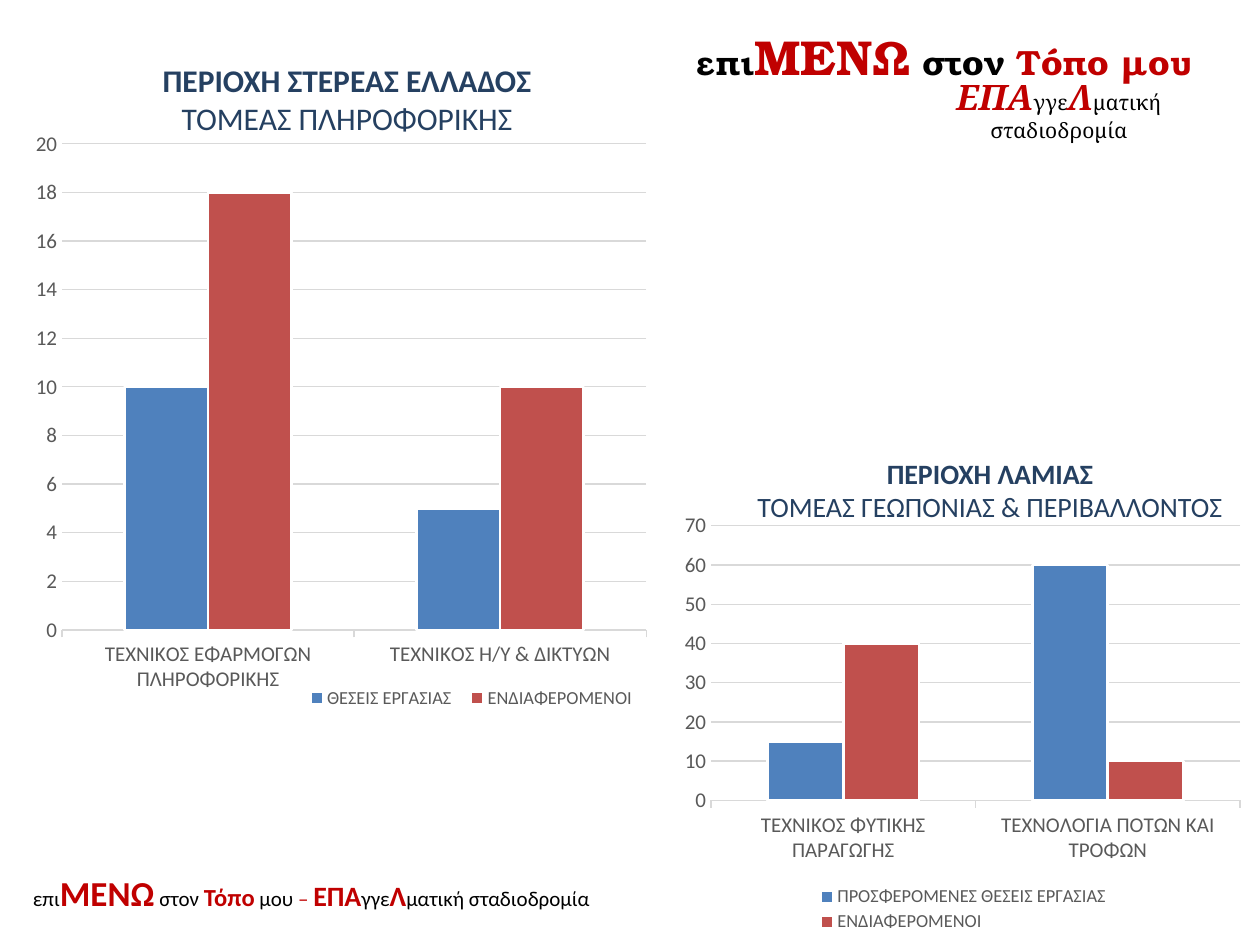
from dataclasses import dataclass

from lxml.etree import SubElement
from pptx import Presentation
from pptx.chart.data import CategoryChartData
from pptx.dml.color import RGBColor
from pptx.enum.chart import XL_CHART_TYPE, XL_LEGEND_POSITION, XL_TICK_MARK
from pptx.enum.text import MSO_ANCHOR, MSO_AUTO_SIZE, PP_ALIGN
from pptx.oxml.ns import qn
from pptx.util import Emu, Pt

PX = 914400 // 126


@dataclass(frozen=True)
class Theme:
    """Fonts, colours and type sizes of the slide."""
    body: str = "Calibri"
    serif: str = "Cambria"
    display: str = "TeX Gyre Bonum"
    black: str = "000000"
    accent: str = "C00000"
    heading: str = "254061"
    label: str = "595959"
    grid: str = "D9D9D9"
    white: str = "FFFFFF"
    series: tuple = ("4F81BD", "C0504D")
    small: float = 12
    legend: float = 10.5
    mid: float = 14
    strong: float = 16
    large: float = 18
    big: float = 20
    huge: float = 28


THEME = Theme()


def style_font(font, size, color, name=THEME.body, bold=False, italic=False):
    """Apply one text format to a font."""
    font.size, font.name = Pt(size), name
    font.bold, font.italic = bold, italic
    font.color.rgb = RGBColor.from_string(color)


def add_text(paragraph, text, **style):
    """Append a run of formatted text to a paragraph."""
    run = paragraph.add_run()
    run.text = text
    style_font(run.font, **style)


def place(element, tag, **ratios):
    """Give a chart part a manual layout in fractions of the chart."""
    layout = element.find(qn("c:layout"))
    if layout is None:
        layout = element.makeelement(qn("c:layout"), {})
        element.insert(tag, layout)
    for child in list(layout):
        layout.remove(child)
    manual = SubElement(layout, qn("c:manualLayout"))
    if "target" in ratios:
        SubElement(manual, qn("c:layoutTarget")).set("val", ratios.pop("target"))
    for mode in ("xMode", "yMode"):
        SubElement(manual, qn(f"c:{mode}")).set("val", "edge")
    for key, value in ratios.items():
        SubElement(manual, qn(f"c:{key}")).set("val", str(value))


class SlideBuilder:
    """Holds the theme and the current slide."""

    def __init__(self, slide, theme):
        """Keep the slide and its theme."""
        self.slide, self.theme = slide, theme

    def fill_frame(self, shape, lines, align, anchor, inset):
        """Write lines of styled runs into a shape."""
        frame = shape.text_frame
        frame.word_wrap, frame.auto_size = True, MSO_AUTO_SIZE.NONE
        frame.vertical_anchor = anchor
        frame.margin_left = frame.margin_right = Emu(inset * PX)
        for index, runs in enumerate(lines):
            paragraph = frame.add_paragraph() if index else frame.paragraphs[0]
            paragraph.alignment = align
            for text, style in runs:
                add_text(paragraph, text, **style)

    def title(self, box, runs):
        """Move and format the title placeholder."""
        title = self.slide.shapes.title
        title.left, title.top, title.width, title.height = [Emu(n * PX) for n in box]
        self.fill_frame(title, [runs], PP_ALIGN.CENTER, MSO_ANCHOR.TOP, 13)

    def text(self, box, lines, align=PP_ALIGN.CENTER, anchor=MSO_ANCHOR.TOP, inset=13):
        """Add a text box."""
        shape = self.slide.shapes.add_textbox(*[Emu(n * PX) for n in box])
        self.fill_frame(shape, lines, align, anchor, inset)

    def heading(self, box, region, sector, size):
        """Add a two-line chart heading."""
        style = dict(size=size, color=self.theme.heading)
        self.text(box, [[(region, dict(style, bold=True))], [(sector, style)]])

    def columns(self, box, categories, series, top, step, plot, legend):
        """Add a clustered column chart."""
        theme = self.theme
        data = CategoryChartData()
        data.categories = categories
        for name, values in series:
            data.add_series(name, values)
        chart = self.slide.shapes.add_chart(
            XL_CHART_TYPE.COLUMN_CLUSTERED, *[Emu(n * PX) for n in box], data).chart
        style_font(chart.font, theme.small, theme.label)
        chart.has_title = False
        chart.has_legend = True
        chart.legend.position = XL_LEGEND_POSITION.BOTTOM
        chart.legend.include_in_layout = False
        style_font(chart.legend.font, theme.legend, theme.label)

        bars = chart.plots[0]
        bars.gap_width, bars.overlap, bars.vary_by_categories = 150, 0, False
        for item, color in zip(bars.series, theme.series):
            item.format.fill.solid()
            item.format.fill.fore_color.rgb = RGBColor.from_string(color)
            self.line(item.format.line, theme.white, 1.5)

        names, scale = chart.category_axis, chart.value_axis
        scale.minimum_scale, scale.maximum_scale, scale.major_unit = 0, top, step
        names.major_tick_mark, scale.major_tick_mark = XL_TICK_MARK.OUTSIDE, XL_TICK_MARK.NONE
        for axis in (names, scale):
            axis.minor_tick_mark = XL_TICK_MARK.NONE
            style_font(axis.tick_labels.font, theme.small, theme.label)
        self.line(names.format.line, theme.grid, 0.75)
        self.line(scale.major_gridlines.format.line, theme.grid, 0.75)
        scale.format.line.fill.background()

        area = bars._element.getparent()
        place(area, 0, target="inner", **dict(zip("xywh", plot)))
        place(chart.legend._element, 1, **dict(zip("xywh", legend)))

    def line(self, line, color, width):
        """Format a line."""
        line.color.rgb = RGBColor.from_string(color)
        line.width = Pt(width)


presentation = Presentation()
presentation.slide_width, presentation.slide_height = Emu(1260 * PX), Emu(945 * PX)
page = SlideBuilder(presentation.slides.add_slide(presentation.slide_layouts[5]), THEME)

page.columns(
    (664, 504, 588, 436),
    ["ΤΕΧΝΙΚΟΣ ΦΥΤΙΚΗΣ ΠΑΡΑΓΩΓΗΣ", "ΤΕΧΝΟΛΟΓΙΑ ΠΟΤΩΝ ΚΑΙ ΤΡΟΦΩΝ"],
    [("ΠΡΟΣΦΕΡΟΜΕΝΕΣ ΘΕΣΕΙΣ ΕΡΓΑΣΙΑΣ", (15, 60)), ("ΕΝΔΙΑΦΕΡΟΜΕΝΟΙ", (40, 10))],
    top=70, step=10, plot=(0.08, 0.05, 0.9, 0.63), legend=(0.25, 0.87, 0.52, 0.12))
page.heading((716, 450, 548, 81), "ΠΕΡΙΟΧΗ ΛΑΜΙΑΣ",
             "ΤΟΜΕΑΣ ΓΕΩΠΟΝΙΑΣ & ΠΕΡΙΒΑΛΛΟΝΤΟΣ", THEME.strong)

page.columns(
    (24, 126, 635, 593),
    ["ΤΕΧΝΙΚΟΣ ΕΦΑΡΜΟΓΩΝ ΠΛΗΡΟΦΟΡΙΚΗΣ", "ΤΕΧΝΙΚΟΣ Η/Υ & ΔΙΚΤΥΩΝ"],
    [("ΘΕΣΕΙΣ ΕΡΓΑΣΙΑΣ", (10, 5)), ("ΕΝΔΙΑΦΕΡΟΜΕΝΟΙ", (18, 10))],
    top=20, step=2, plot=(0.06, 0.03, 0.92, 0.82), legend=(0.43, 0.94, 0.55, 0.05))
page.heading((134, 55, 426, 89), "ΠΕΡΙΟΧΗ ΣΤΕΡΕΑΣ ΕΛΛΑΔΟΣ",
             "ΤΟΜΕΑΣ ΠΛΗΡΟΦΟΡΙΚΗΣ", THEME.large)

serif = dict(size=THEME.small, color=THEME.black, name=THEME.serif)
initial = dict(serif, size=THEME.big, color=THEME.accent, bold=True, italic=True)
page.text((876, 69, 366, 80), [[
    ("ΕΠΑ", initial), ("γγε", serif), ("Λ", initial), ("ματική σταδιοδρομία", serif)]], inset=20)

display = dict(size=THEME.big, color=THEME.black, name=THEME.display, bold=True)
display_accent = dict(display, color=THEME.accent)
page.title((571, 20, 748, 72), [
    ("επι", display), ("ΜΕΝΩ", dict(display_accent, size=THEME.huge)),
    (" στον ", display), ("Τόπο μου", display_accent)])

plain = dict(size=THEME.small, color=THEME.black)
accent = dict(size=THEME.strong, color=THEME.accent, bold=True)
page.text((20, 868, 591, 50), [[
    ("επι", plain), ("ΜΕΝΩ", dict(accent, size=THEME.big)), (" στον ", plain),
    ("Τόπο", dict(accent, size=THEME.mid)), (" μου", plain),
    (" – ", dict(plain, color=THEME.accent)), ("ΕΠΑ", accent), ("γγε", plain),
    ("Λ", accent), ("ματική σταδιοδρομία", plain)]],
    align=PP_ALIGN.LEFT, anchor=MSO_ANCHOR.MIDDLE)

presentation.save("out.pptx")
